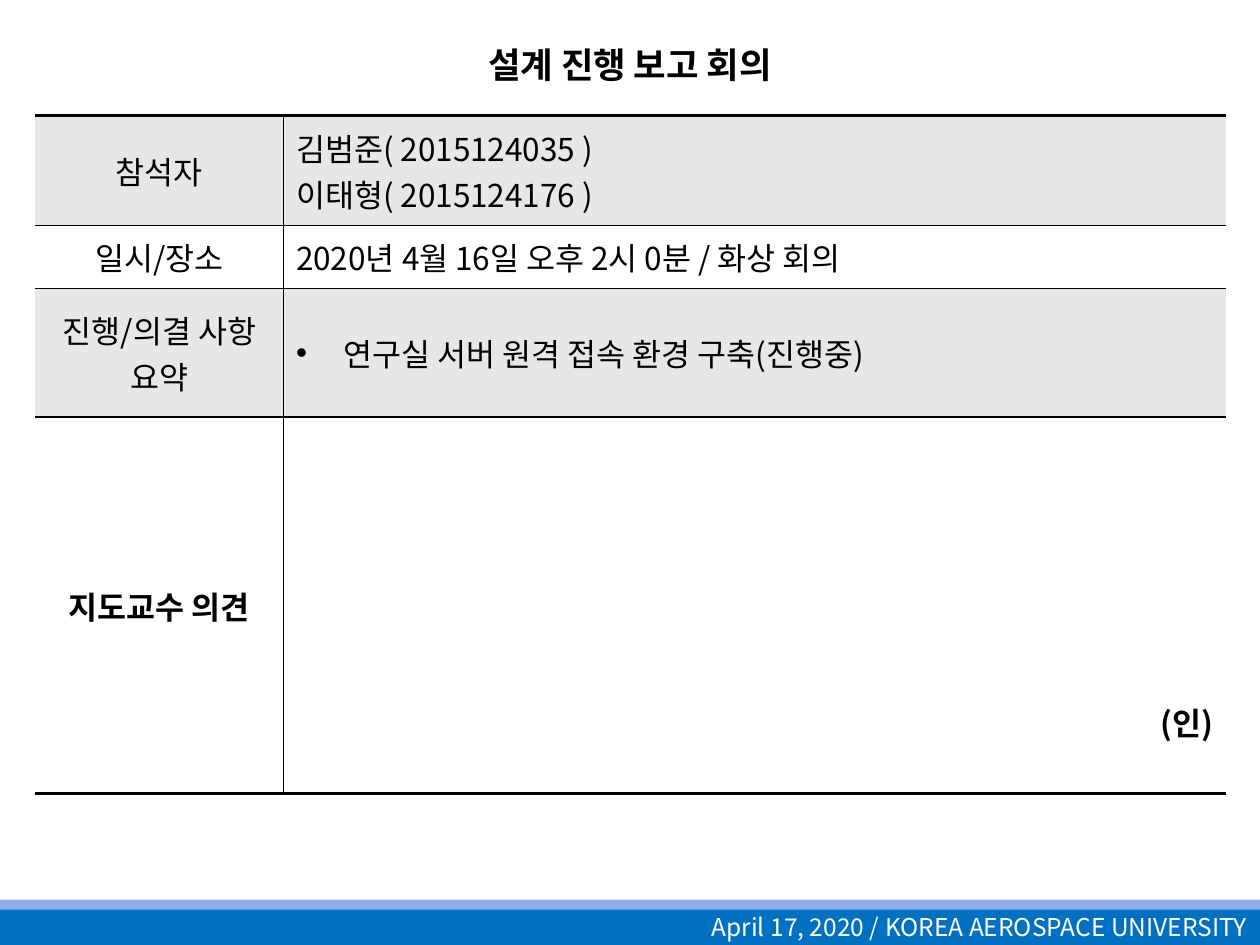
from pptx import Presentation
from pptx.util import Inches as In, Pt
from pptx.dml.color import RGBColor as RGB
from pptx.enum.shapes import MSO_SHAPE as Shape
from pptx.enum.text import MSO_ANCHOR as Anchor, PP_ALIGN as Align, MSO_AUTO_SIZE as Auto
from pptx.oxml.ns import qn
from lxml.etree import SubElement as Sub

FONT = "Noto Sans CJK KR"
WIDE, HIGH = 10, 7.5
BLACK, WHITE, GRAY = "000000", "FFFFFF", "E7E7E7"
TITLE = "설계 진행 보고 회의"
FOOT = "April 17, 2020 / KOREA AEROSPACE UNIVERSITY"
BARS = [(7.21, 0.29, "0070C0", FOOT), (7.14, 0.08, "8FADE9", "")]
COLS = [1.97, 7.48]
ROWS = [
    (0.87, "참석자", "김범준( 2015124035 )\n이태형( 2015124176 )"),
    (0.5, "일시/장소", "2020년 4월 16일 오후 2시 0분 / 화상 회의"),
    (1.02, "진행/의결 사항 요약", "연구실 서버 원격 접속 환경 구축(진행중)"),
    (2.99, "지도교수 의견", "(인)"),
]
LIST, SIGN = 2, 3


def paint(fill, tint):
    fill.solid()
    fill.fore_color.rgb = RGB.from_string(tint)


def style(frame, size, tint, align, bold=False):
    for para in frame.paragraphs:
        para.alignment = align
        for run in para.runs:
            font = run.font
            font.size, font.bold, font.name = Pt(size), bold, FONT
            font.color.rgb = RGB.from_string(tint)
            Sub(font._element, qn("a:ea"), typeface=FONT)


def border(cell, sides):
    props = cell._tc.get_or_add_tcPr()
    for spot, side in enumerate(("L", "R", "T", "B")):
        width = sides.get(side, 0)
        line = props.makeelement(qn("a:ln" + side), {"w": str(Pt(width))})
        if width:
            Sub(Sub(line, qn("a:solidFill")), qn("a:srgbClr"), val=BLACK)
        else:
            Sub(line, qn("a:noFill"))
        props.insert(spot, line)


def bullet(para):
    props = para._p.get_or_add_pPr()
    props.set("marL", str(In(0.38)))
    props.set("indent", str(In(-0.38)))
    Sub(props, qn("a:buFont"), typeface="Arial")
    Sub(props, qn("a:buChar"), char="•")


def add_bars(slide):
    for top, high, tint, text in BARS:
        bar = slide.shapes.add_shape(Shape.RECTANGLE, 0, In(top), In(WIDE), In(high))
        bar.shadow.inherit = False
        bar.line.fill.background()
        paint(bar.fill, tint)
        if text:
            bar.text_frame.text = text
            bar.text_frame.vertical_anchor = Anchor.MIDDLE
            style(bar.text_frame, 14, WHITE, Align.RIGHT)


def add_title(slide):
    title = slide.shapes.title
    title.left, title.top, title.width, title.height = map(In, (0.75, 0.21, 8.5, 0.55))
    frame = title.text_frame
    frame.text = TITLE
    frame.auto_size = Auto.NONE
    frame.vertical_anchor = Anchor.MIDDLE
    style(frame, 25.2, BLACK, Align.CENTER, True)
    frame.paragraphs[0].runs[0].font._element.set("cap", "small")


def add_grid(slide):
    total = sum(row[0] for row in ROWS)
    grid = slide.shapes.add_table(len(ROWS), len(COLS), In(0.28), In(0.92),
                                  In(sum(COLS)), In(total)).table
    for col, width in zip(grid.columns, COLS):
        col.width = In(width)
    last = len(ROWS) - 1
    for r, (high, *texts) in enumerate(ROWS):
        grid.rows[r].height = In(high)
        for c, text in enumerate(texts):
            cell = grid.cell(r, c)
            frame = cell.text_frame
            frame.text = text
            cell.vertical_anchor = Anchor.MIDDLE
            align = Align.LEFT if c else Align.CENTER
            if c and r == LIST:
                bullet(frame.paragraphs[0])
            if c and r == SIGN:
                align = Align.RIGHT
                cell.vertical_anchor = Anchor.BOTTOM
                cell.margin_bottom = In(0.39)
            style(frame, 18, BLACK, align, r == SIGN)
            paint(cell.fill, WHITE if r % 2 else GRAY)
            border(cell, {"L" if c else "R": 1, "T": 1 if r else 2, "B": 2 if r == last else 1})


deck = Presentation()
deck.slide_width, deck.slide_height = In(WIDE), In(HIGH)
page = deck.slides.add_slide(deck.slide_layouts[5])
add_bars(page)
add_title(page)
add_grid(page)
deck.save("out.pptx")
